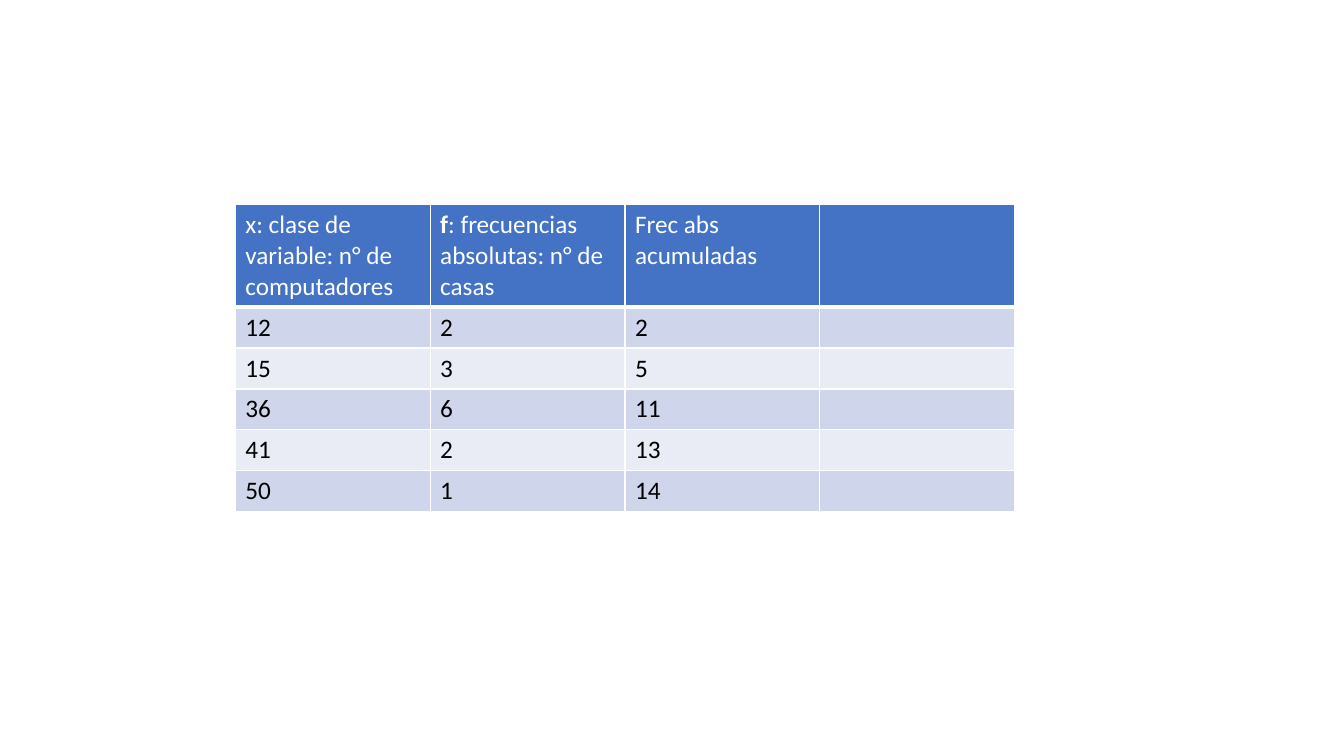
from dataclasses import dataclass

from lxml import etree
from pptx import Presentation
from pptx.dml.color import RGBColor
from pptx.oxml.ns import qn
from pptx.util import Cm, Pt


@dataclass(frozen=True)
class Theme:
    font: str = "Calibri"
    size: int = 18
    header_fill: str = "4472C4"
    band_fills: tuple = ("CFD5EA", "E9EBF5")
    header_text: str = "FFFFFF"
    body_text: str = "000000"
    border: str = "FFFFFF"
    thin_border: int = 1
    thick_border: int = 3


theme = Theme()


def add_border(cell, side, width):
    properties = cell._tc.get_or_add_tcPr()
    line = etree.SubElement(properties, qn(f"a:ln{side}"), w=str(Pt(width)))
    fill = etree.SubElement(line, qn("a:solidFill"))
    etree.SubElement(fill, qn("a:srgbClr"), val=theme.border)


rows = [
    [
        ["x: clase de variable: n° de computadores"],
        ["f", ": frecuencias absolutas: n° de casas"],
        ["Frec abs acumuladas"],
        [],
    ],
    [["12"], ["2"], ["2"], []],
    [["15"], ["3"], ["5"], []],
    [["36"], ["6"], ["11"], []],
    [["41"], ["2"], ["13"], []],
    [["50"], ["1"], ["14"], []],
]
column_width = Cm(4.91)
header_height = Cm(2.58)
row_height = Cm(1.03)

presentation = Presentation()
presentation.slide_width = Cm(33.87)
presentation.slide_height = Cm(19.05)
slide = presentation.slides.add_slide(presentation.slide_layouts[6])

column_count = len(rows[0])
table = slide.shapes.add_table(
    len(rows),
    column_count,
    Cm(5.93),
    Cm(5.16),
    column_width * column_count,
    header_height + row_height * (len(rows) - 1),
).table

for column in table.columns:
    column.width = column_width

for row_index, row in enumerate(rows):
    is_header = row_index == 0
    table.rows[row_index].height = header_height if is_header else row_height
    fill_color = theme.header_fill if is_header else theme.band_fills[(row_index - 1) % 2]
    text_color = theme.header_text if is_header else theme.body_text
    top_width = theme.thick_border if row_index == 1 else theme.thin_border
    bottom_width = theme.thick_border if is_header else theme.thin_border

    for column_index, texts in enumerate(row):
        cell = table.cell(row_index, column_index)
        add_border(cell, "L", theme.thin_border)
        add_border(cell, "R", theme.thin_border)
        add_border(cell, "T", top_width)
        add_border(cell, "B", bottom_width)
        cell.fill.solid()
        cell.fill.fore_color.rgb = RGBColor.from_string(fill_color)

        paragraph = cell.text_frame.paragraphs[0]
        paragraph.font.size = Pt(theme.size)
        for text in texts:
            run = paragraph.add_run()
            run.text = text
            run.font.name = theme.font
            run.font.size = Pt(theme.size)
            run.font.bold = text == "f"
            run.font.color.rgb = RGBColor.from_string(text_color)

presentation.save("out.pptx")
